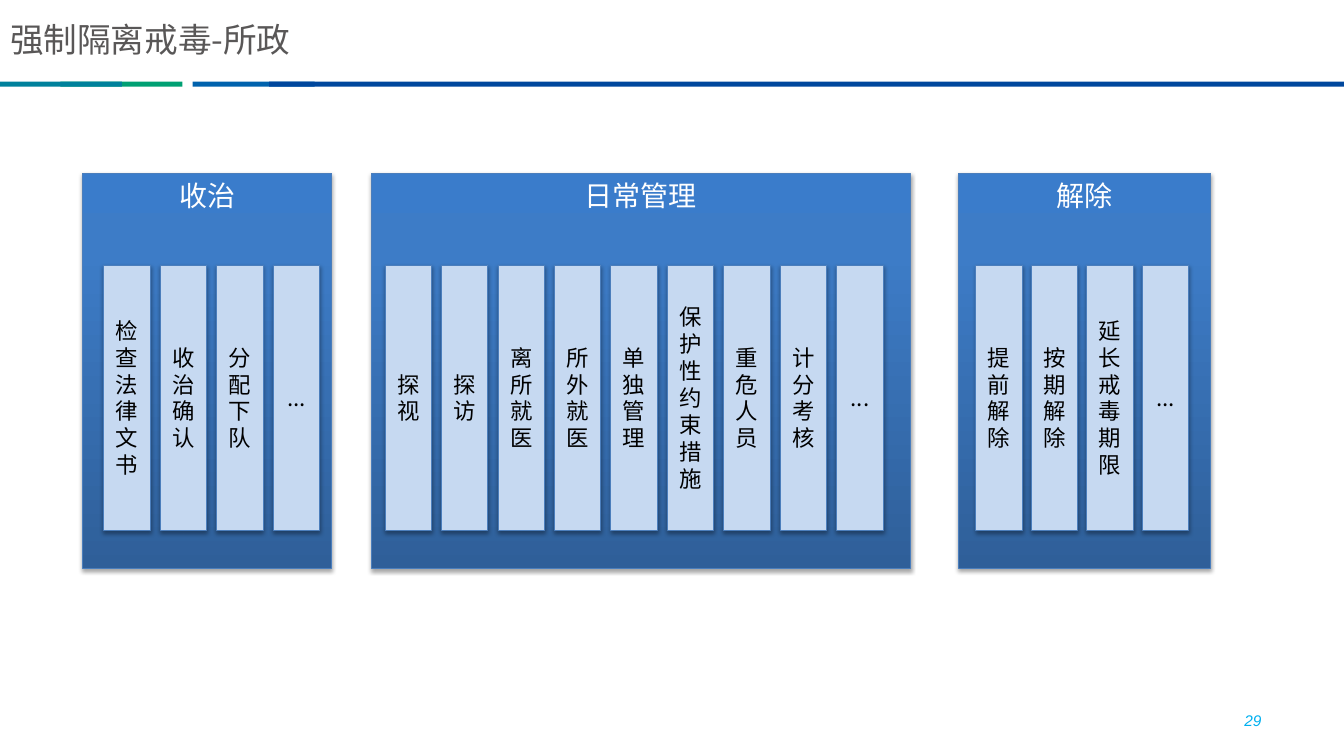
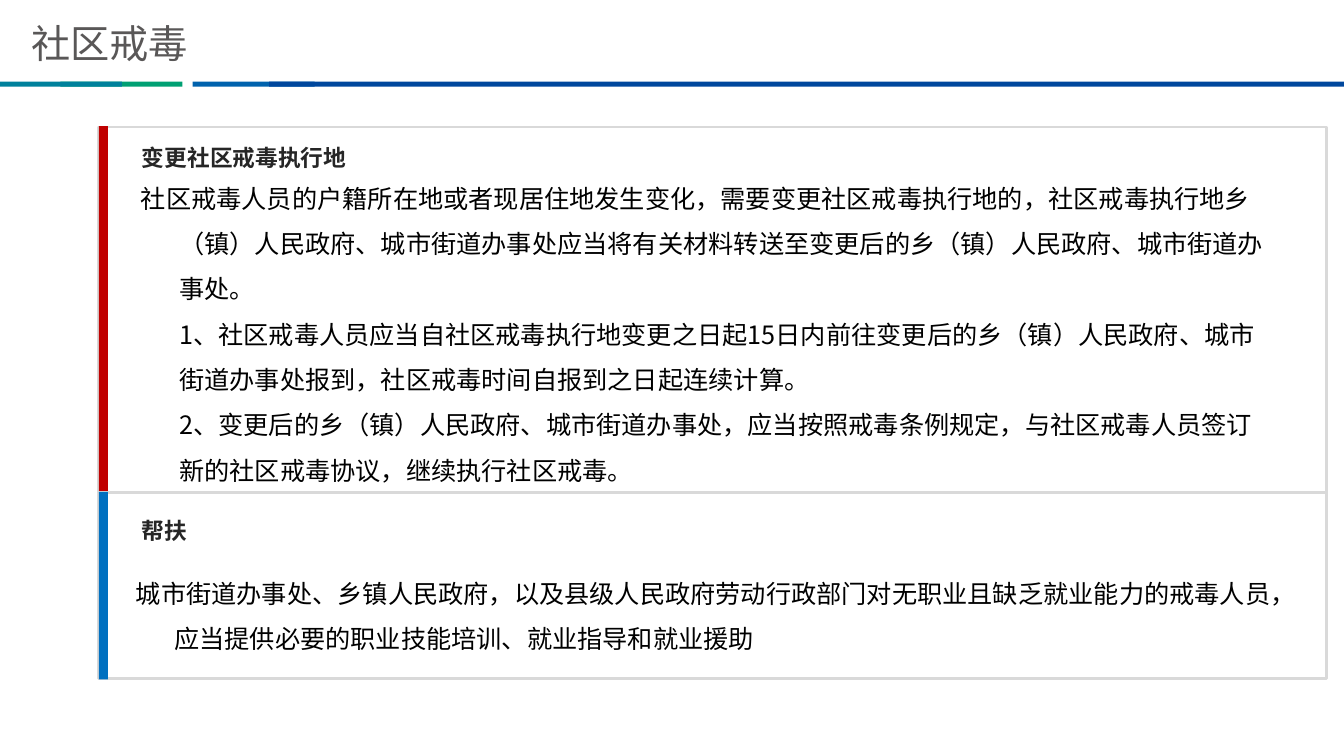
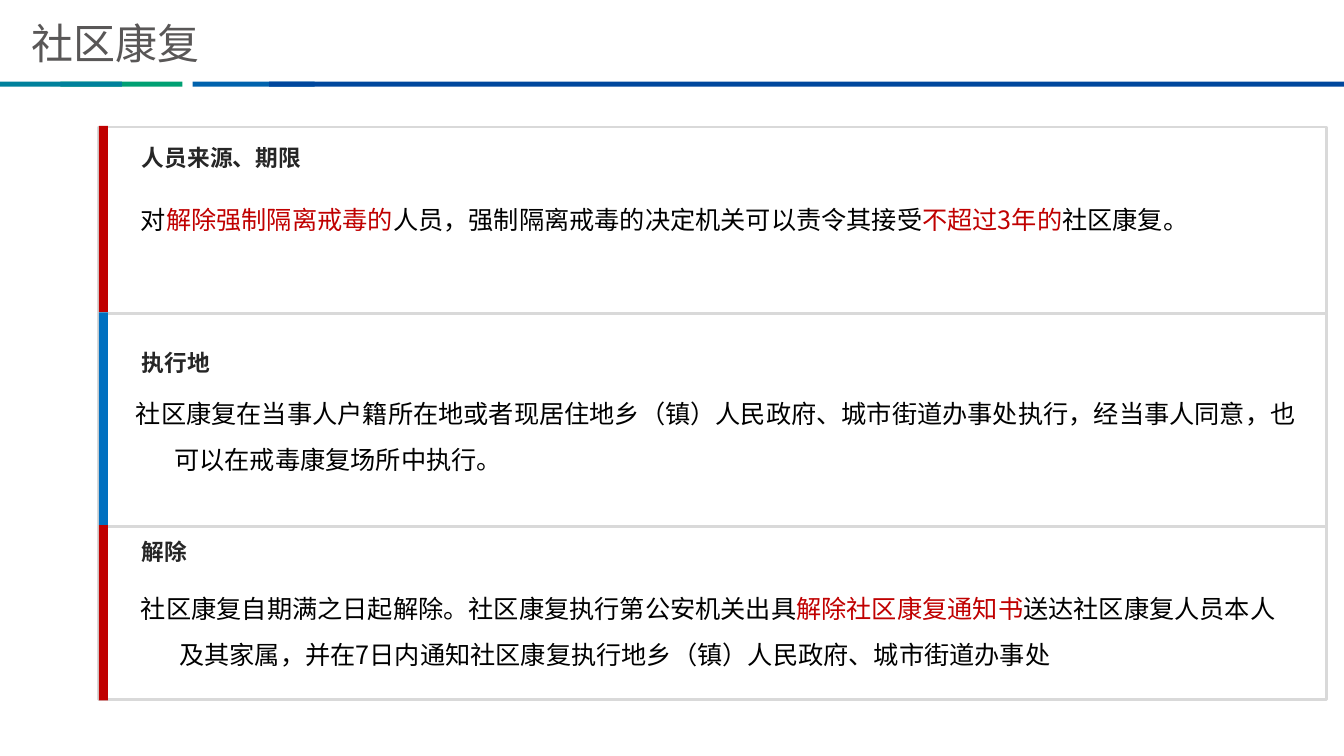
from copy import deepcopy

from lxml import etree
from pptx import Presentation
from pptx.dml.color import RGBColor
from pptx.enum import shapes, text
from pptx.oxml.ns import qn
from pptx.util import Inches, Pt

CJK = "Noto Sans CJK SC"
RED, BLUE, BLACK, WHITE = "C00000", "0070C0", "000000", "FFFFFF"
TITLE_GREY, HEADING_GREY, FRAME_GREY = "595757", "262626", "D9D9D9"
PANEL_LINE, COLUMN_FILL = "4B7EBC", "C6D9F1"
PANEL_STOPS = [(0, "2F5F99"), (0.8, "3D7CC7"), (1, "3A7CCB")]
BAND = [(0.6, 1.21, "00A073"), (1.91, 1.21, "0062AD"),
        (2.67, 10.66, "00479D"), (0, 1.21, "00819C")]
MIDDLE = text.MSO_ANCHOR.MIDDLE
HANGING = 0.38


def rgb(value):
    return RGBColor.from_string(value)


def add_run(p, words, size, color, name=CJK, **styles):
    r = p.add_run()
    r.text = words
    r.font.color.rgb = rgb(color)
    for key, value in {"size": Pt(size), "name": name, **styles}.items():
        setattr(r.font, key, value)
    etree.SubElement(r._r.get_or_add_rPr(), qn("a:ea"), typeface=CJK)


def add_rect(s, left, top, width, height, fill=None, line=None, weight=0.75):
    sp = s.shapes.add_shape(shapes.MSO_SHAPE.RECTANGLE, Inches(left), Inches(top),
                            Inches(width), Inches(height))
    sp.shadow.inherit = False
    if fill:
        sp.fill.solid()
        sp.fill.fore_color.rgb = rgb(fill)
    if line:
        sp.line.color.rgb = rgb(line)
        sp.line.width = Pt(weight)
    else:
        sp.line.fill.background()
    return sp


def add_textbox(s, left, top, width, height):
    tf = s.shapes.add_textbox(Inches(left), Inches(top), Inches(width),
                              Inches(height)).text_frame
    tf.word_wrap = True
    tf.vertical_anchor = MIDDLE
    return tf


def drop_shadow(sp):
    effects = sp._element.spPr.find(qn("a:effectLst"))
    shadow = etree.SubElement(effects, qn("a:outerShdw"), blurRad="40000",
                              dist="23000", dir="5400000", rotWithShape="0")
    color = etree.SubElement(shadow, qn("a:srgbClr"), val=BLACK)
    etree.SubElement(color, qn("a:alpha"), val="35000")


def fill_gradient(sp, stops):
    """Fill from bottom to top through three stops."""
    sp.fill.gradient()
    sp.fill.gradient_angle = 90
    gs_list = sp._element.spPr.find(".//" + qn("a:gsLst"))
    gs_list.append(deepcopy(gs_list[-1]))
    for stop, (position, color) in zip(sp.fill.gradient_stops, stops):
        stop.position = position
        stop.color.rgb = rgb(color)


def label(sp, words, size, color, anchor):
    tf = sp.text_frame
    tf.word_wrap = True
    tf.vertical_anchor = anchor
    p = tf.paragraphs[0]
    p.alignment = text.PP_ALIGN.CENTER
    add_run(p, words, size, color)


def place(sp, left, top, width, height):
    sp.left, sp.top, sp.width, sp.height = map(Inches, (left, top, width, height))


def prepare_layout(prs):
    """Put the colour band and the title position on the shared layout."""
    layout = prs.slide_layouts.get_by_name("Title Only")
    place(layout.placeholders[0], 0.21, 0.15, 5.98, 0.54)
    return layout


def add_band(s, layout):
    """Draw the band on a slide, then hand it over to the layout."""
    for left, width, color in BAND:
        bar = add_rect(s, left, 0.81, width, 0.05, color)
        layout.shapes.element.append(bar._element)


def add_slide(prs, layout, title, size):
    s = prs.slides.add_slide(layout)
    tf = s.shapes.title.text_frame
    tf.vertical_anchor = MIDDLE
    p = tf.paragraphs[0]
    p.alignment = text.PP_ALIGN.LEFT
    add_run(p, title, size, TITLE_GREY)
    return s


def add_panel(s, left, width, title, first, step, items):
    """Draw a titled panel with a row of narrow columns, one for each item."""
    panel = add_rect(s, left, 1.72, width, 3.92, line=PANEL_LINE)
    fill_gradient(panel, PANEL_STOPS)
    drop_shadow(panel)
    label(panel, title, 20, WHITE, text.MSO_ANCHOR.TOP)
    for i, item in enumerate(items):
        column = add_rect(s, first + i * step, 2.63, 0.46, 2.63, COLUMN_FILL, PANEL_LINE)
        drop_shadow(column)
        label(column, item, 16, BLACK, MIDDLE)


def add_section(s, top, height, accent, heading, heading_top, body_box, paragraphs):
    """Draw a framed section; each paragraph is (first-line indent, runs)."""
    add_rect(s, 0.98, top, 12.18, height, WHITE, FRAME_GREY, 2)
    add_rect(s, 0.98, top - 0.01, 0.09, height + 0.02, accent)
    tf = add_textbox(s, 1.31, heading_top, 8.65, 0.4)
    add_run(tf.paragraphs[0], heading, 16.2, HEADING_GREY, "Arial", bold=True)
    tf = add_textbox(s, *body_box)
    for i, (indent, runs) in enumerate(paragraphs):
        p = tf.add_paragraph() if i else tf.paragraphs[0]
        p.line_spacing = 1.5
        pPr = p._p.get_or_add_pPr()
        pPr.set("marL", str(Inches(HANGING)))
        pPr.set("indent", str(Inches(indent)))
        for words, color in runs:
            add_run(p, words, 18, color)


def build_management(s):
    place(s.shapes.title, 0, 0.12, 5.98, 0.54)
    add_panel(s, 0.82, 2.47, "收治", 1.03, 0.56,
              ["检查法律文书", "收治确认", "分配下队", "..."])
    add_panel(s, 3.68, 5.35, "日常管理", 3.82, 0.56,
              ["探视", "探访", "离所就医", "所外就医", "单独管理",
               "保护性约束措施", "重危人员", "计分考核", "..."])
    add_panel(s, 9.51, 2.5, "解除", 9.68, 0.55,
              ["提前解除", "按期解除", "延长戒毒期限", "..."])
    p = add_textbox(s, 9.5, 6.95, 3.11, 0.4).paragraphs[0]
    p.alignment = text.PP_ALIGN.RIGHT
    add_run(p, "29", 11, "00B0F0", "Arial", italic=True)


def build_treatment(s):
    add_section(s, 1.26, 3.63, RED, "变更社区戒毒执行地", 1.36, (1.3, 1.76, 11.4, 2.96), [
        (-HANGING, [("社区戒毒人员的户籍所在地或者现居住地发生变化，需要变更社区戒毒执行地的，"
                     "社区戒毒执行地乡（镇）人民政府、城市街道办事处应当将有关材料转送至变更后的"
                     "乡（镇）人民政府、城市街道办事处。", BLACK)]),
        (0, [("1、社区戒毒人员应当自社区戒毒执行地变更之日起15日内前往变更后的乡（镇）人民政府、"
              "城市街道办事处报到，社区戒毒时间自报到之日起连续计算。", BLACK)]),
        (0, [("2、变更后的乡（镇）人民政府、城市街道办事处，应当按照戒毒条例规定，"
              "与社区戒毒人员签订新的社区戒毒协议，继续执行社区戒毒。", BLACK)]),
    ])
    add_section(s, 4.89, 1.84, BLUE, "帮扶", 5.06, (1.25, 5.46, 11.92, 1.15), [
        (-HANGING, [("城市街道办事处、乡镇人民政府，以及县级人民政府劳动行政部门对无职业且缺乏"
                     "就业能力的戒毒人员，应当提供必要的职业技能培训、就业指导和就业援助", BLACK)]),
    ])


def build_recovery(s):
    add_section(s, 1.26, 1.85, RED, "人员来源、期限", 1.36, (1.3, 1.83, 11.4, 0.55), [
        (-HANGING, [("对", BLACK), ("解除强制隔离戒毒的", RED),
                    ("人员，强制隔离戒毒的决定机关可以责令其接受", BLACK),
                    ("不超过3年的", RED), ("社区康复。", BLACK)]),
    ])
    add_section(s, 3.11, 2.12, BLUE, "执行地", 3.4, (1.25, 3.68, 11.92, 1.15), [
        (-HANGING, [("社区康复在当事人户籍所在地或者现居住地乡（镇）人民政府、城市街道办事处执行，"
                     "经当事人同意，也可以在戒毒康复场所中执行。", BLACK)]),
    ])
    add_section(s, 5.22, 1.72, RED, "解除", 5.27, (1.3, 5.65, 11.45, 1.08), [
        (-HANGING, [("社区康复自期满之日起解除。社区康复执行第公安机关出具", BLACK),
                    ("解除社区康复通知书", RED),
                    ("送达社区康复人员本人及其家属，并在7日内通知社区康复执行地乡（镇）人民政府、"
                     "城市街道办事处", BLACK)]),
    ])


def main():
    prs = Presentation()
    prs.slide_width, prs.slide_height = Inches(13.33), Inches(7.5)
    layout = prepare_layout(prs)
    management = add_slide(prs, layout, "强制隔离戒毒-所政", 24)
    add_band(management, layout)
    build_management(management)
    build_treatment(add_slide(prs, layout, "社区戒毒", 28))
    build_recovery(add_slide(prs, layout, "社区康复", 30))
    prs.save("out.pptx")


if __name__ == "__main__":
    main()
